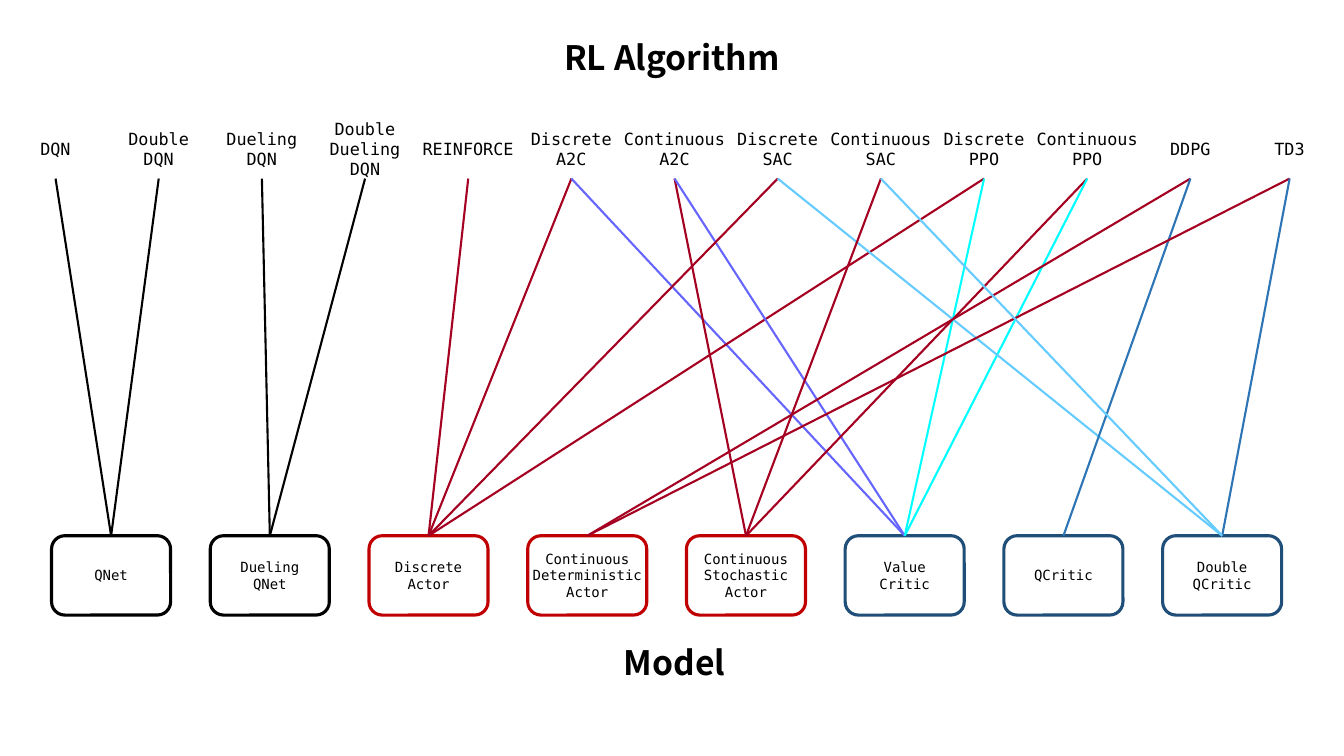
"""Build a slide that links reinforcement learning algorithms to the models they use."""
from lxml import etree
from pptx import Presentation
from pptx.dml.color import RGBColor
from pptx.enum import shapes, text
from pptx.oxml import ns
from pptx.util import Cm, Pt

MONO, HEADING = "DejaVu Sans Mono", "Noto Sans CJK KR"
BLACK, WHITE, RED, NAVY = "000000", "FFFFFF", "C00000", "1F4E79"
CRIMSON, VIOLET, CYAN, SKY, BLUE = "A50021", "6666FF", "00FFFF", "66CCFF", "2E75B6"

ALGORITHMS = [
    "DQN", "Double\nDQN", "Dueling\nDQN", "Double\nDueling\nDQN", "REINFORCE",
    "Discrete\nA2C", "Continuous\nA2C", "Discrete\nSAC", "Continuous\nSAC",
    "Discrete\nPPO", "Continuous\nPPO", "DDPG", "TD3",
]
MODELS = [
    ("QNet", BLACK),
    ("Dueling\nQNet", BLACK),
    ("Discrete\nActor", RED),
    ("Continuous\nDeterministic\nActor", RED),
    ("Continuous\nStochastic\nActor", RED),
    ("Value\nCritic", NAVY),
    ("QCritic", NAVY),
    ("Double\nQCritic", NAVY),
]
LINKS = {
    "DQN": [("QNet", BLACK)],
    "Double\nDQN": [("QNet", BLACK)],
    "Dueling\nDQN": [("Dueling\nQNet", BLACK)],
    "Double\nDueling\nDQN": [("Dueling\nQNet", BLACK)],
    "REINFORCE": [("Discrete\nActor", CRIMSON)],
    "Discrete\nA2C": [("Discrete\nActor", CRIMSON), ("Value\nCritic", VIOLET)],
    "Discrete\nPPO": [("Discrete\nActor", CRIMSON), ("Value\nCritic", CYAN)],
    "Continuous\nA2C": [("Continuous\nStochastic\nActor", CRIMSON), ("Value\nCritic", VIOLET)],
    "Continuous\nPPO": [("Continuous\nStochastic\nActor", CRIMSON), ("Value\nCritic", CYAN)],
    "Discrete\nSAC": [("Discrete\nActor", CRIMSON), ("Double\nQCritic", SKY)],
    "DDPG": [("Continuous\nDeterministic\nActor", CRIMSON), ("QCritic", BLUE)],
    "TD3": [("Continuous\nDeterministic\nActor", CRIMSON), ("Double\nQCritic", BLUE)],
    "Continuous\nSAC": [("Continuous\nStochastic\nActor", CRIMSON), ("Double\nQCritic", SKY)],
}
MODEL_LEFT, MODEL_TOP, MODEL_STEP, MODEL_SIZE = 1.3, 13.5, 4, (3, 2)
LABEL_LEFT, LABEL_TOP, LABEL_STEP, LABEL_SIZE = 0.3, 3, 2.6, (2.2, 1.5)
LABEL_LEFT_LIMIT = 31.4


def color(value):
    return RGBColor.from_string(value)


def write(shape, content, size, font=MONO, bold=False, wrap=True, inset=None, grow=False):
    frame = shape.text_frame
    frame.text = content
    frame.word_wrap = wrap
    frame.vertical_anchor = text.MSO_ANCHOR.MIDDLE
    frame.auto_size = text.MSO_AUTO_SIZE.SHAPE_TO_FIT_TEXT if grow else text.MSO_AUTO_SIZE.NONE
    if inset is not None:
        frame.margin_left = frame.margin_right = Cm(inset)
        frame.margin_top = frame.margin_bottom = Cm(inset)
    for paragraph in frame.paragraphs:
        paragraph.alignment = text.PP_ALIGN.CENTER
        paragraph.font.name = font
        paragraph.font.size = Pt(size)
        paragraph.font.bold = bold
        paragraph.font.color.rgb = color(BLACK)


def add_box(slide, content, left, top, box_size, line=None, **text_format):
    shape = slide.shapes.add_shape(
        shapes.MSO_SHAPE.ROUNDED_RECTANGLE, Cm(left), Cm(top), Cm(box_size[0]), Cm(box_size[1]))
    shape.shadow.inherit = False
    shape.fill.solid()
    shape.fill.fore_color.rgb = color(WHITE)
    if line:
        shape.line.color.rgb = color(line)
        shape.line.width = Pt(2.25)
    else:
        shape.line.fill.background()
    write(shape, content, inset=0, **text_format)
    return shape


def add_link(slide, model, algorithm, line):
    connector = slide.shapes.add_connector(shapes.MSO_CONNECTOR.STRAIGHT, 0, 0, 0, 0)
    connector.begin_connect(model, 0)
    connector.end_connect(algorithm, 2)
    connector.line.color.rgb = color(line)
    connector.line.width = Pt(1.5)
    etree.SubElement(connector._element.spPr, ns.qn("a:effectLst"))


def main():
    presentation = Presentation()
    presentation.slide_width, presentation.slide_height = Cm(33.87), Cm(19.05)
    slide = presentation.slides.add_slide(presentation.slide_layouts[5])

    title = slide.shapes.title
    title.left, title.top, title.width, title.height = Cm(12.7), Cm(0.81), Cm(8.46), Cm(1.28)
    write(title, "RL Algorithm", 24, font=HEADING, bold=True, grow=True)

    models = {}
    for column, (name, line) in enumerate(MODELS):
        left = MODEL_LEFT + MODEL_STEP * column
        models[name] = add_box(slide, name, left, MODEL_TOP, MODEL_SIZE, line, size=10)

    algorithms = {}
    for column, name in enumerate(ALGORITHMS):
        left = min(LABEL_LEFT + LABEL_STEP * column, LABEL_LEFT_LIMIT)
        algorithms[name] = add_box(slide, name, left, LABEL_TOP, LABEL_SIZE, size=12, wrap=False)

    for algorithm, targets in LINKS.items():
        for model, line in targets:
            add_link(slide, models[model], algorithms[algorithm], line)

    caption = slide.shapes.add_textbox(Cm(13.55), Cm(16.05), Cm(6.9), Cm(1.28))
    write(caption, "Model", 24, font=HEADING, bold=True, grow=True)
    presentation.save("out.pptx")


if __name__ == "__main__":
    main()
